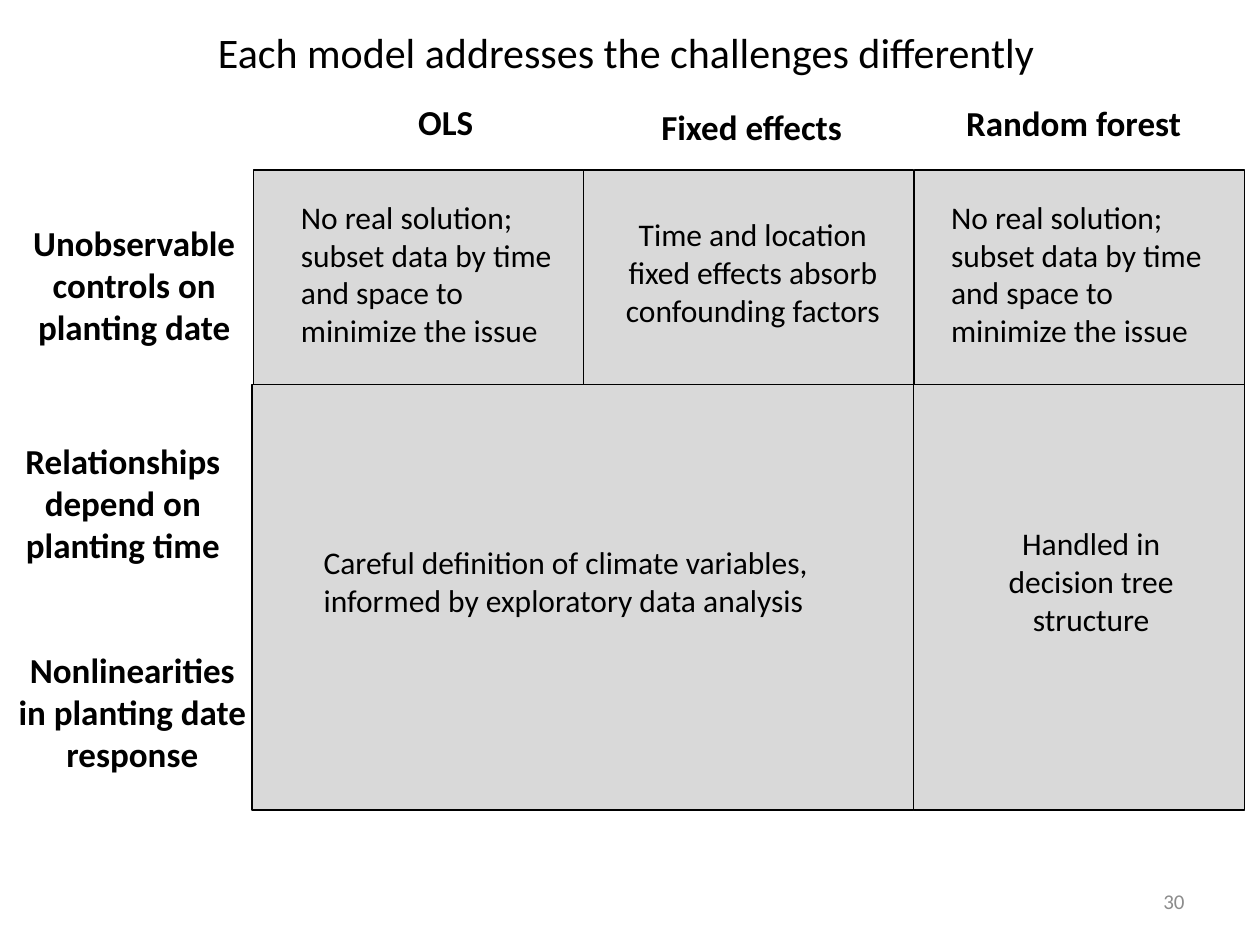
from pptx import Presentation
from pptx import util as u
from pptx.dml.color import RGBColor
from pptx.enum import shapes, text

LEFT, CENTER, RIGHT = text.PP_ALIGN.LEFT, text.PP_ALIGN.CENTER, text.PP_ALIGN.RIGHT
TOP, MIDDLE = text.MSO_ANCHOR.TOP, text.MSO_ANCHOR.MIDDLE


def color(value):
    return RGBColor.from_string(value)


def write(box, words, size, bold=False, align=LEFT, wrap=True, ink="000000", anchor=TOP):
    frame = box.text_frame
    frame.text = words
    frame.word_wrap = wrap
    frame.auto_size = text.MSO_AUTO_SIZE.NONE
    frame.vertical_anchor = anchor
    para = frame.paragraphs[0]
    para.alignment = align
    para.font.name = "Calibri"
    para.font.size = u.Pt(size)
    para.font.bold = bold
    para.font.color.rgb = color(ink)


deck = Presentation()
deck.slide_width, deck.slide_height = u.Inches(10), u.Inches(7.5)
page = deck.slides.add_slide(deck.slide_layouts[5])

# Title
title = page.shapes.title
title.left, title.top = u.Inches(1.63), u.Inches(0.16)
title.width, title.height = u.Inches(6.78), u.Inches(0.5)
write(title, "Each model addresses the challenges differently", 24, wrap=False)

# Grey cells: two merged ones below, one per model above
cells = [(7.25, 3.05, 2.63, 3.38), (2, 3.05, 5.25, 3.38)]
cells += [(left, 1.35, 2.62, 1.7) for left in (7.26, 4.63, 2.01)]
for area in cells:
    cell = page.shapes.add_shape(shapes.MSO_SHAPE.RECTANGLE, *map(u.Inches, area))
    cell.shadow.inherit = False
    cell.fill.solid()
    cell.fill.fore_color.rgb = color("D9D9D9")
    cell.line.color.rgb = color("000000")
    cell.line.width = u.Pt(0.75)

# Model names, challenges, cell texts and page number
heading = dict(size=20, bold=True, wrap=False)
challenge = dict(size=20, bold=True, align=CENTER)
answer = dict(size=18)
centered = dict(size=18, align=CENTER)
number = dict(size=12, align=RIGHT, ink="8C8C8C", anchor=MIDDLE)
subset = "No real solution; subset data by time and space to minimize the issue"
labels = [
    ("OLS", (3.22, 0.75, 0.64, 0.44), heading),
    ("Fixed effects", (5.15, 0.79, 1.66, 0.44), heading),
    ("Random forest", (7.57, 0.76, 1.93, 0.44), heading),
    ("Unobservable controls on planting date", (0.09, 1.71, 1.95, 1.11), challenge),
    ("Relationships depend on planting time", (0.07, 3.44, 1.81, 1.11), challenge),
    ("Nonlinearities in planting date response", (0.04, 5.1, 2.02, 1.11), challenge),
    (subset, (2.29, 1.52, 2.34, 1.31), answer),
    ("Time and location fixed effects absorb confounding factors",
     (4.85, 1.66, 2.25, 1.01), centered),
    (subset, (7.45, 1.52, 2.27, 1.31), answer),
    ("Careful definition of climate variables, informed by exploratory data analysis",
     (2.47, 4.26, 4.49, 0.71), answer),
    ("Handled in decision tree structure", (7.69, 4.11, 1.94, 1.01), centered),
    ("30", (7.17, 6.95, 2.33, 0.4), number),
]
for words, area, style in labels:
    write(page.shapes.add_textbox(*map(u.Inches, area)), words, **style)

deck.save("out.pptx")
